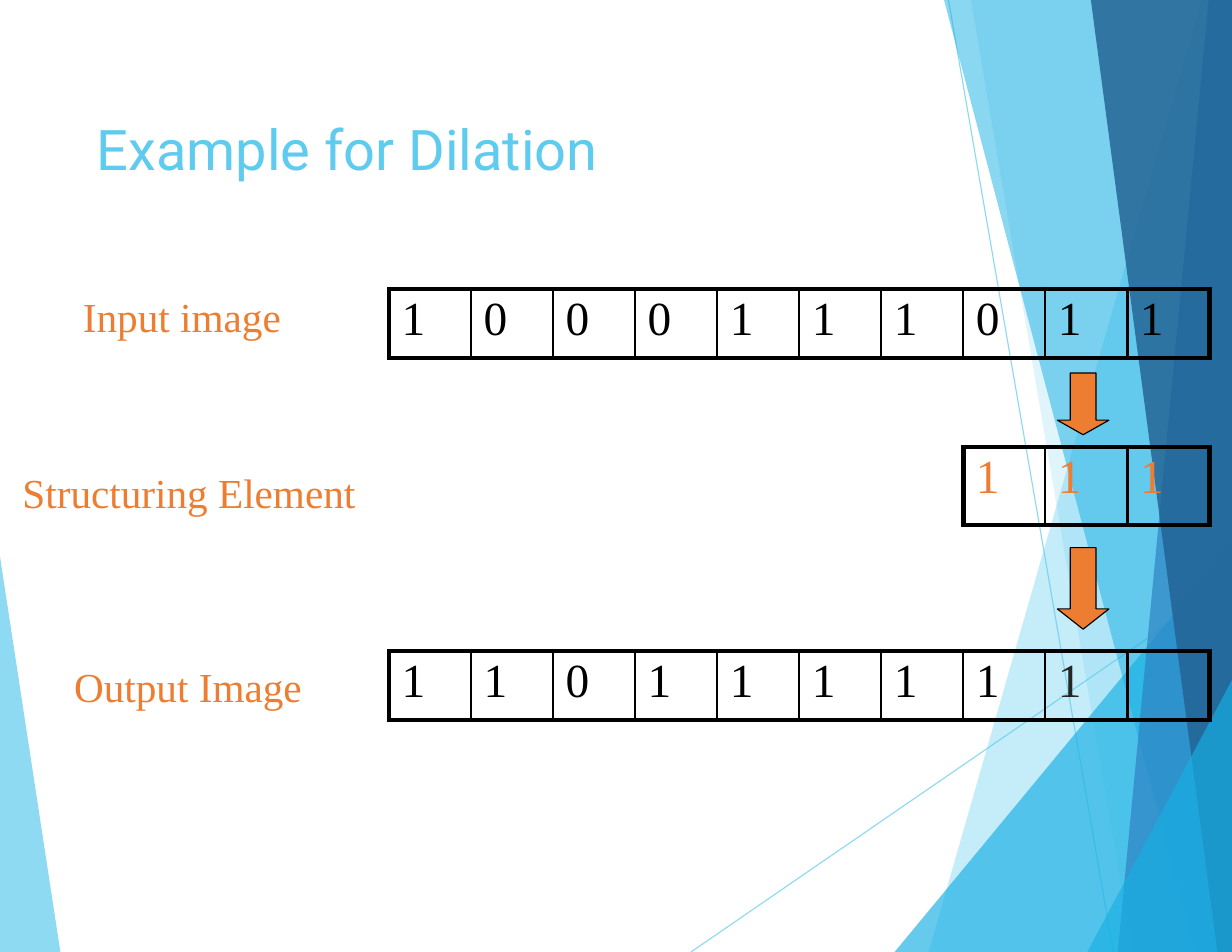
from pptx import Presentation
from pptx import util as u
from pptx.dml.color import RGBColor
from pptx.enum import shapes, text
from pptx.oxml.ns import qn
from lxml import etree

COLORS = {
    "sky": "5FCBEF", "cyan": "17B0E4", "blue": "2E83C3", "navy": "226292",
    "orange": "ED7D31", "black": "000000", "charcoal": "262626",
}
WIDTH, HEIGHT = 27.94, 21.59
COLUMN = 1.86
TABLE_RIGHT = 27.43


class DilationSlide:
    """Style and drawing methods for the current slide."""

    body_font = "Times New Roman"
    title_font = "Roboto"

    def __init__(self, presentation):
        self.slide = presentation.slides.add_slide(presentation.slide_layouts[5])

    def color(self, name):
        return RGBColor.from_string(COLORS[name])

    def style(self, paragraph, size, color, font=None):
        paragraph.font.size = u.Pt(size)
        paragraph.font.name = font or self.body_font
        paragraph.font.color.rgb = self.color(color)
        paragraph.alignment = text.PP_ALIGN.LEFT

    def set_alpha(self, shape, percent):
        for node in shape._element.spPr.iter(qn("a:srgbClr")):
            etree.SubElement(node, qn("a:alpha")).set("val", str(percent * 1000))

    def frame(self, shape, top=0.0):
        frame = shape.text_frame
        frame.word_wrap = True
        frame.auto_size = text.MSO_AUTO_SIZE.SHAPE_TO_FIT_TEXT
        frame.vertical_anchor = text.MSO_ANCHOR.TOP
        frame.margin_left = frame.margin_right = frame.margin_bottom = 0
        frame.margin_top = u.Cm(top)
        return frame

    def title(self, words, left, top, width, height):
        shape = self.slide.shapes.title
        shape.left, shape.top = u.Cm(left), u.Cm(top)
        shape.width, shape.height = u.Cm(width), u.Cm(height)
        frame = self.frame(shape, 0.05)
        frame.margin_left = u.Cm(0.03)
        frame.text = words
        paragraph = frame.paragraphs[0]
        paragraph.space_before = u.Pt(1.4)
        self.style(paragraph, 36, "sky", self.title_font)

    def polygon(self, points, color, alpha):
        points = [(u.Cm(x), u.Cm(y)) for x, y in points]
        builder = self.slide.shapes.build_freeform(*points[0])
        builder.add_line_segments(points[1:], close=True)
        shape = builder.convert_to_shape()
        shape.shadow.inherit = False
        shape.fill.solid()
        shape.fill.fore_color.rgb = self.color(color)
        shape.line.fill.background()
        self.set_alpha(shape, alpha)

    def line(self, start, end):
        connector = self.slide.shapes.add_connector(
            shapes.MSO_CONNECTOR.STRAIGHT, *map(u.Cm, start + end))
        connector.line.width = u.Pt(0.75)
        connector.line.color.rgb = self.color("sky")
        self.set_alpha(connector, 70)
        etree.SubElement(connector._element.spPr, qn("a:effectLst"))

    def labels(self, lines, left, top, width, height):
        box = self.slide.shapes.add_textbox(*map(u.Cm, (left, top, width, height)))
        frame = self.frame(box, 0.03)
        for index, (words, indent, before) in enumerate(lines):
            paragraph = frame.add_paragraph() if index else frame.paragraphs[0]
            paragraph.text = words
            paragraph.space_before = u.Pt(before)
            paragraph._p.get_or_add_pPr().set("marL", str(u.Cm(indent)))
            self.style(paragraph, 26.5, "orange")

    def borders(self, cell, widths):
        properties = cell._tc.get_or_add_tcPr()
        for side, width in widths.items():
            border = etree.SubElement(properties, qn("a:ln" + side), w=str(u.Pt(width)))
            fill = etree.SubElement(border, qn("a:solidFill"))
            etree.SubElement(fill, qn("a:srgbClr"), val=COLORS["black"])

    def pixel_row(self, values, top, height, color, accents=None):
        count = len(values)
        width = count * COLUMN
        table = self.slide.shapes.add_table(
            1, count, u.Cm(TABLE_RIGHT - width), u.Cm(top), u.Cm(width), u.Cm(height)).table
        table.first_row = table.horz_banding = False
        for index, value in enumerate(values):
            table.columns[index].width = u.Cm(COLUMN)
            cell = table.cell(0, index)
            cell.margin_left, cell.margin_top = u.Cm(0.28), u.Cm(0.1)
            cell.margin_right = cell.margin_bottom = 0
            self.borders(cell, {
                "L": 3 if index == 0 else 1.5,
                "R": 3 if index == count - 1 else 1.5,
                "T": 3, "B": 3})
            cell.fill.background()
            cell.text = value
            paragraph = cell.text_frame.paragraphs[0]
            paragraph.space_before = u.Pt(3.1)
            self.style(paragraph, 30.5, (accents or {}).get(index, color))

    def down_arrow(self, top, height, head):
        left, width = 23.98, 1.17
        arrow = self.slide.shapes.add_shape(
            shapes.MSO_SHAPE.DOWN_ARROW, *map(u.Cm, (left, top, width, height)))
        arrow.adjustments[0] = 0.5
        arrow.adjustments[1] = head / width
        arrow.shadow.inherit = False
        arrow.fill.solid()
        arrow.fill.fore_color.rgb = self.color("orange")
        arrow.line.color.rgb = self.color("black")
        arrow.line.width = u.Pt(0.75)

    def band(self, top_x, bottom_x, color, alpha):
        self.polygon([(top_x, 0), (bottom_x, HEIGHT), (WIDTH, HEIGHT), (WIDTH, 0)], color, alpha)

    def corner(self, bottom_x, right_y, alpha):
        self.polygon([(bottom_x, HEIGHT), (WIDTH, right_y), (WIDTH, HEIGHT)], "cyan", alpha)

    def backdrop(self):
        self.polygon([(0, 12.62), (1.37, HEIGHT), (0, HEIGHT)], "sky", 70)
        self.line((15.67, HEIGHT), (WIDTH, 13.16))
        self.line((21.51, 0), (25.25, HEIGHT))
        self.band(27.25, 21.06, "sky", 36)
        self.band(22.02, 25.68, "sky", 20)
        self.corner(20.29, 12.34, 66)
        self.band(21.41, 27.1, "cyan", 50)
        self.band(27.41, 25.35, "blue", 70)
        self.band(24.74, 27.61, "navy", 82)
        self.corner(24.66, 15.42, 66)


def main():
    presentation = Presentation()
    presentation.slide_width, presentation.slide_height = u.Cm(WIDTH), u.Cm(HEIGHT)
    slide = DilationSlide(presentation)
    slide.backdrop()
    slide.title("Example for Dilation", 2.16, 2.54, 16.89, 1.6)
    slide.pixel_row("1000111011", 6.55, 1.57, "black")
    slide.labels([("Input image", 1.4, 0.9), ("Structuring Element", 0.03, 81.4)],
                 0.48, 6.58, 7.59, 5.03)
    slide.labels([("Output Image", 0.03, 0.9)], 1.65, 14.96, 5.21, 1.19)
    slide.pixel_row("111", 10.13, 1.78, "orange")
    slide.down_arrow(12.42, 1.85, 0.46)
    slide.down_arrow(8.46, 1.4, 0.33)
    slide.pixel_row([*"110111111", ""], 14.76, 1.57, "black", {8: "charcoal"})
    presentation.save("out.pptx")


if __name__ == "__main__":
    main()
